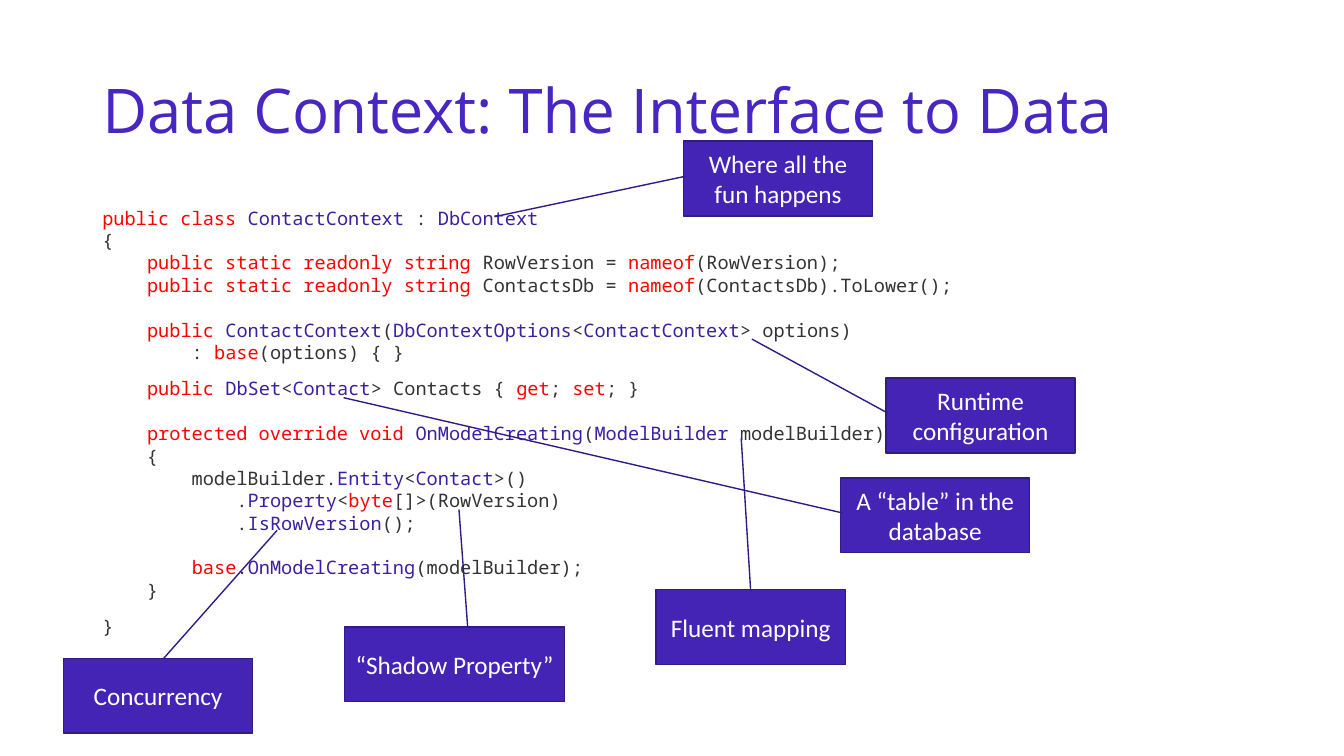
from itertools import groupby

from pptx import Presentation
from pptx import util as u
from pptx.dml.color import RGBColor
from pptx.enum import shapes, text

COLORS = {
    "title": "4826C1",
    "keyword": "FF0000",
    "symbol": "3A20A0",
    "plain": "333333",
    "fill": "4424B5",
    "line": "321B86",
    "label": "FFFFFF",
}
TITLE = "Data Context: The Interface to Data"
KEYWORDS = set(
    "public class static readonly string nameof base get set "
    "protected override void byte".split()
)
SYMBOLS = set(
    "ContactContext DbContext DbContextOptions DbSet Contact ModelBuilder "
    "OnModelCreating Entity Property IsRowVersion".split()
)
CODE = [
    """public class ContactContext : DbContext
{
    public static readonly string RowVersion = nameof(RowVersion);
    public static readonly string ContactsDb = nameof(ContactsDb).ToLower();

    public ContactContext(DbContextOptions<ContactContext> options)
        : base(options) { }""",
    """    public DbSet<Contact> Contacts { get; set; }

    protected override void OnModelCreating(ModelBuilder modelBuilder)
    {
        modelBuilder.Entity<Contact>()
            .Property<byte[]>(RowVersion)
            .IsRowVersion();

        base.OnModelCreating(modelBuilder);
    }""",
    "}",
]
CALLOUT_WIDTH, CALLOUT_HEIGHT = 135, 53.5
CALLOUTS = [
    ("Where all the fun happens", 488.2, 100.8, CALLOUT_WIDTH, (0.47, 0.01, 1.01, -1)),
    ("Runtime configuration", 632.9, 270, CALLOUT_WIDTH, (0.47, 0.01, -0.52, -0.71)),
    ("A “table” in the database", 600.5, 341.3, CALLOUT_WIDTH, (0.47, 0.01, -1.07, -2.63)),
    ("Fluent mapping", 468.7, 421.2, CALLOUT_WIDTH, (0.02, 0.5, -2.02, 0.45)),
    ("“Shadow Property”", 246.2, 447.8, 157, (0.01, 0.56, -1.57, 0.52)),
    ("Concurrency", 45.4, 470.2, CALLOUT_WIDTH, (0, 0.53, -1.71, 1.13)),
]


def rgb(name):
    return RGBColor.from_string(COLORS[name])


def add_span(para, words, font, size, color):
    span = para.add_run()
    span.text = words
    for key, value in {"name": font, "size": u.Pt(size)}.items():
        setattr(span.font, key, value)
    span.font.color.rgb = rgb(color)


def add_box(page, left, top, width, height, anchor):
    box = page.shapes.add_textbox(*map(u.Pt, (left, top, width, height)))
    box.text_frame.word_wrap = True
    box.text_frame.vertical_anchor = anchor
    return box.text_frame


def color_spans(line):
    spans = []
    for _, letters in groupby(line, lambda letter: (letter.isalnum(), letter.isspace())):
        word = "".join(letters)
        color = "keyword" if word in KEYWORDS else "symbol" if word in SYMBOLS else "plain"
        if spans and (word.isspace() or spans[-1][1] == color):
            spans[-1][0] += word
        else:
            spans.append([word, color])
    return spans


def add_title(page):
    frame = add_box(page, 66, 28.8, 828, 104.4, text.MSO_ANCHOR.MIDDLE)
    para = frame.paragraphs[0]
    para.line_spacing = 0.9
    add_span(para, TITLE, "Open Sans", 44, "title")


def add_code(page):
    frame = add_box(page, 66, 144, 828, 342.7, text.MSO_ANCHOR.TOP)
    for block_number, block in enumerate(CODE):
        para = frame.add_paragraph() if block_number else frame.paragraphs[0]
        para.space_before = u.Pt(10 if block_number else 0)
        para.line_spacing = u.Pt(16)
        for line_number, line in enumerate(block.split("\n")):
            if line_number:
                para.add_line_break()
            for words, color in color_spans(line):
                add_span(para, words, "Noto Sans Mono", 13.3, color)


def add_callout(page, label, left, top, width, pointer):
    box = page.shapes.add_shape(
        shapes.MSO_SHAPE.LINE_CALLOUT_1,
        *map(u.Pt, (left, top, width, CALLOUT_HEIGHT)),
    )
    for number, value in enumerate(pointer):
        box.adjustments[number] = value
    box.shadow.inherit = False
    box.fill.solid()
    box.fill.fore_color.rgb = rgb("fill")
    box.line.color.rgb = rgb("line")
    box.line.width = u.Pt(1)
    frame = box.text_frame
    frame.word_wrap = True
    frame.vertical_anchor = text.MSO_ANCHOR.MIDDLE
    para = frame.paragraphs[0]
    para.alignment = text.PP_ALIGN.CENTER
    add_span(para, label, "Calibri", 18, "label")


def main():
    deck = Presentation()
    deck.slide_width, deck.slide_height = u.Pt(960), u.Pt(540)
    page = deck.slides.add_slide(deck.slide_layouts[6])
    add_title(page)
    add_code(page)
    for callout in CALLOUTS:
        add_callout(page, *callout)
    deck.save("out.pptx")


if __name__ == "__main__":
    main()
